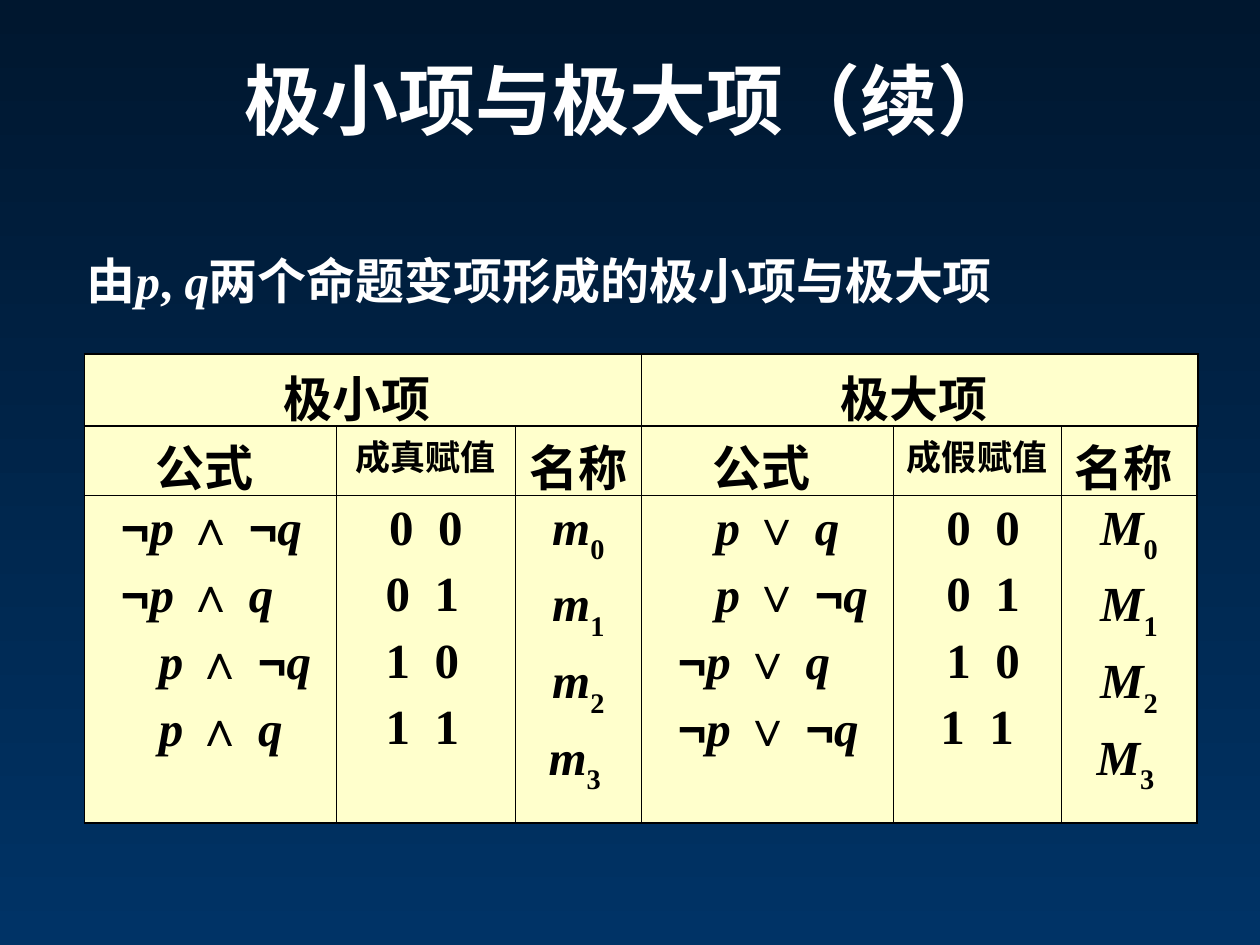
from lxml.etree import SubElement
from pptx import Presentation
from pptx.dml.color import RGBColor
from pptx.enum.text import MSO_ANCHOR, PP_ALIGN
from pptx.oxml.ns import qn
from pptx.util import Inches, Pt

COLORS = {
    "top": "00172F",
    "bottom": "003366",
    "white": "FFFFFF",
    "black": "000000",
    "cream": "FFFFCC",
}
CHINESE, LATIN, SYMBOL = "Noto Sans CJK SC", "Times New Roman", "Arial"
THIN, THICK = 0.45, 1.08
TABLE_LEFT = 0.67


def rgb(name):
    return RGBColor.from_string(COLORS[name])


def set_background(page):
    fill = page.background.fill
    fill.gradient()
    fill.gradient_angle = 270
    for stop, position, name in zip(fill.gradient_stops, (0, 1), ("top", "bottom")):
        stop.position = position
        stop.color.rgb = rgb(name)


def write_para(para, runs, size=28, color="black", align=PP_ALIGN.CENTER,
               before=7, indent=0):
    para.alignment = align
    para.space_before = Pt(before)
    para.font.size = Pt(size)
    para.font.bold = True
    para.font.color.rgb = rgb(color)
    if indent:
        para._p.get_or_add_pPr().set("marL", str(Inches(indent)))
    for text, font, italic, baseline in runs:
        span = para.add_run()
        span.text = text
        span.font.name = font
        if italic:
            span.font.italic = True
        properties = span.font._element
        SubElement(properties, qn("a:ea"), typeface=font)
        if baseline:
            properties.set("baseline", str(baseline))


def run(text, font=CHINESE, italic=False, baseline=0):
    return text, font, italic, baseline


def formula(first, operator, second):
    negation = [run("¬", SYMBOL)] if first.startswith("¬") else []
    tail = "¬" if second.startswith("¬") else ""
    runs = negation + [
        run(first[-1] + " ", LATIN, True),
        run(f"{operator} {tail}", SYMBOL),
        run(second[-1], LATIN, True),
    ]
    return {"runs": runs, "align": PP_ALIGN.LEFT, "indent": 0.19 if negation else 0.49}


def assignment(text, **layout):
    return {"runs": [run(text, LATIN)], **layout}


def term(letter, index):
    return {"runs": [run(letter, LATIN, True), run(index, LATIN, baseline=-30000)]}


def heading(text, **layout):
    return {"runs": [run(text)], **layout}


def add_text(page, left, top, width, height, anchor, **content):
    box = page.shapes.add_textbox(Inches(left), Inches(top), Inches(width), Inches(height))
    box.text_frame.word_wrap = True
    box.text_frame.vertical_anchor = anchor
    write_para(box.text_frame.paragraphs[0], **content)


def set_borders(cell, widths):
    properties = cell._tc.get_or_add_tcPr()
    for position, (side, width) in enumerate(zip(("lnL", "lnR", "lnT", "lnB"), widths)):
        line = SubElement(properties, qn(f"a:{side}"), w=str(Pt(width)))
        fill = SubElement(line, qn("a:solidFill"))
        SubElement(fill, qn("a:srgbClr"), val=COLORS["black"])
        properties.insert(position, line)


def add_grid(page, top, widths, heights, rows):
    frame = page.shapes.add_table(len(rows), len(widths), Inches(TABLE_LEFT), Inches(top),
                                  Inches(sum(widths)), Inches(sum(heights)))
    table = frame.table
    table.first_row = table.horz_banding = False
    for column, width in zip(table.columns, widths):
        column.width = Inches(width)
    for row, height in zip(table.rows, heights):
        row.height = Inches(height)
    last_row, last_column = len(rows) - 1, len(widths) - 1
    for r, row in enumerate(rows):
        for c, paragraphs in enumerate(row):
            cell = table.cell(r, c)
            cell.fill.solid()
            cell.fill.fore_color.rgb = rgb("cream")
            outer = (c == 0, c == last_column, r == 0, r == last_row)
            set_borders(cell, [THICK if edge else THIN for edge in outer])
            for index, content in enumerate(paragraphs):
                text_frame = cell.text_frame
                para = text_frame.add_paragraph() if index else text_frame.paragraphs[0]
                write_para(para, **content)


def add_terms_table(page):
    headings = []
    for label in ("成真赋值", "成假赋值"):
        headings += [[heading("公式 ")], [heading(label, size=20, before=5)],
                     [heading("名称 ")]]
    signs = [("p", "q"), ("p", "¬q"), ("¬p", "q"), ("¬p", "¬q")]
    values = ["0  0", "0  1", "1  0", "1  1"]
    indices = ["0", "1", "2", "3 "]
    justified = {"align": PP_ALIGN.JUSTIFY, "indent": 0.29}
    body = [
        [formula(p, "∧", q) for p, q in reversed(signs)],
        [assignment(values[0])] + [assignment(value, **justified) for value in values[1:]],
        [term("m", index) for index in indices],
        [formula(p, "∨", q) for p, q in signs],
        [assignment(f" {value}") for value in values[:3]] + [assignment(f" {values[3]} ")],
        [term("M", index) for index in indices],
    ]
    add_grid(page, 3.36, [2, 1.42, 1, 2, 1.33, 1.08], [0.57, 2.6], [headings, body])


def main():
    deck = Presentation()
    deck.slide_width, deck.slide_height = Inches(10), Inches(7.5)
    page = deck.slides.add_slide(deck.slide_layouts[6])
    set_background(page)
    add_text(page, 0.5, 0.3, 9, 0.97, MSO_ANCHOR.MIDDLE,
             runs=[run("极小项与极大项（续）")], size=44, color="white", before=0)
    subtitle = [run("由"), run("p", LATIN, True), run(", ", LATIN), run("q", LATIN, True),
                run("两个命题变项形成的极小项与极大项")]
    add_text(page, 0.59, 1.94, 9, 0.67, MSO_ANCHOR.TOP,
             runs=subtitle, color="white", align=PP_ALIGN.LEFT)
    add_terms_table(page)
    add_grid(page, 2.81, [4.42, 4.42], [0.57],
             [[[heading("极小项 ")], [heading("极大项 ")]]])
    deck.save("out.pptx")


if __name__ == "__main__":
    main()
